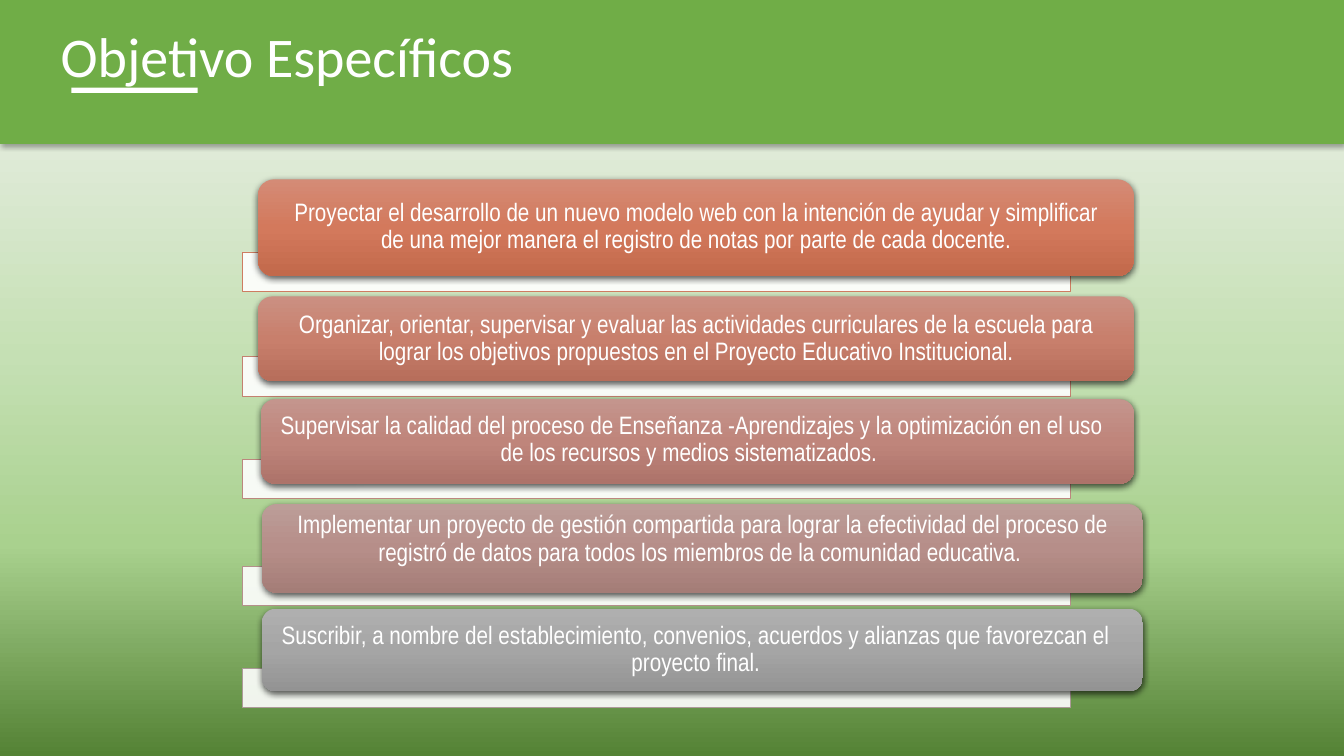
from lxml.etree import SubElement as Sub
from pptx import Presentation
from pptx.dml.color import RGBColor
from pptx.enum.shapes import MSO_SHAPE as Kind
from pptx.enum.text import MSO_ANCHOR as Anchor, PP_ALIGN as Align
from pptx.oxml.ns import qn
from pptx.util import Cm, Pt

WIDE, HIGH = 33.87, 19.05
WHITE = "FFFFFF"

# pill box, text shift (x, y), bar top, bar line, gradient, wording
GOALS = [
    ((6.5, 4.52, 22.07, 2.44), (0.08, -0.02), 6.35, "CE7C61",
     ("D48B76", "D3795C", "C2694B"),
     "Proyectar el desarrollo de un nuevo modelo web con la intención de ayudar y "
     "simplificar de una mejor manera el registro de notas por parte de cada docente."),
    ((6.5, 7.47, 22.07, 2.13), (0.08, 0), 8.99, "C48170",
     ("CB9082", "C87F6C", "B76E5B"),
     "Organizar, orientar, supervisar y evaluar las actividades curriculares de la "
     "escuela para lograr los objetivos propuestos en el Proyecto Educativo Institucional."),
    ((6.58, 10.06, 22, 2.13), (-0.08, -0.05), 11.58, "BC877E",
     ("C4958D", "BF857B", "AD736A"),
     "Supervisar la calidad del proceso de Enseñanza -Aprendizajes y la optimización "
     "en el uso de los recursos y medios sistematizados. "),
    ((6.6, 12.7, 22.2, 2.24), (0.08, -0.23), 14.27, "B4908B",
     ("BC9D98", "B68E89", "A47D77"),
     "Implementar un proyecto de gestión compartida para lograr la efectividad del "
     "proceso de registró de datos para todos los miembros de la comunidad educativa. "),
    ((6.6, 15.34, 22.2, 2.08), (-0.1, 0), 16.84, "AC9A99",
     ("AFAFAF", "A5A5A5", "939393"),
     "Suscribir, a nombre del establecimiento, convenios, acuerdos y alianzas que "
     "favorezcan el proyecto final."),
]


def color(code):
    return RGBColor.from_string(code)


def blend(fill, host, stops):
    """Fill with a top-down gradient of (percent, colour) stops."""
    fill.gradient()
    fill.gradient_angle = 270
    marks = next(host.iter(qn("a:gsLst")))
    for old in list(marks):
        marks.remove(old)
    for pos, code in stops:
        mark = Sub(marks, qn("a:gs"), pos=str(pos * 1000))
        Sub(mark, qn("a:srgbClr"), val=code)


def fade(clr, pct):
    Sub(clr, qn("a:alpha"), val=str(pct * 1000))


def shade(shape, alpha, blur, dist):
    """Cast a black shadow downwards."""
    effects = shape._element.spPr.find(qn("a:effectLst"))
    outer = Sub(effects, qn("a:outerShdw"), blurRad=str(Pt(blur)),
                dist=str(Pt(dist)), dir="5400000", algn="ctr", rotWithShape="0")
    fade(Sub(outer, qn("a:srgbClr"), val="000000"), alpha)


def block(slide, box, fill=None, line=None, kind=Kind.RECTANGLE):
    shape = slide.shapes.add_shape(kind, *map(Cm, box))
    shape.shadow.inherit = False
    if fill:
        shape.fill.solid()
        shape.fill.fore_color.rgb = color(fill)
    if line:
        shape.line.color.rgb = color(line)
        shape.line.width = Pt(0.5)
    else:
        shape.line.fill.background()
    return shape


def write(slide, box, text, size, font, align=Align.LEFT, anchor=Anchor.TOP,
          side=0, gap=1.0):
    frame = slide.shapes.add_textbox(*map(Cm, box)).text_frame
    frame.word_wrap = True
    frame.vertical_anchor = anchor
    frame.margin_left = frame.margin_right = Cm(side)
    frame.margin_top = frame.margin_bottom = 0
    para = frame.paragraphs[0]
    para.alignment = align
    para.line_spacing = gap
    run = para.add_run()
    run.text = text
    run.font.size = Pt(size)
    run.font.name = font
    run.font.color.rgb = color(WHITE)


def header(slide, box, title):
    x, y, w, h = box
    shade(block(slide, box, "70AD47"), 32, 3.5, 2.2)
    block(slide, (x + 1.8, y + 2.21, 3.18, 0.13), WHITE)
    write(slide, (x + 1.53, y + 0.55, 23.24, 1.75), title, 40, "Calibri")


def goal(slide, box, shift, top, edge, tones, text):
    """Place a white bar with a shaded pill and its wording over it."""
    x, y, w, h = box
    bar = block(slide, (6.12, top, 20.85, 0.99), WHITE, edge)
    fade(next(bar._element.spPr.iter(qn("a:srgbClr"))), 90)
    pill = block(slide, box, kind=Kind.ROUNDED_RECTANGLE)
    blend(pill.fill, pill._element.spPr, zip((0, 50, 100), tones))
    shade(pill, 63, 4.5, 1.5)
    dx, dy = shift
    write(slide, (x + dx, y + dy, w - 0.13, h), text, 18, "Arial Narrow",
          Align.CENTER, Anchor.MIDDLE, side=0.56, gap=0.9)


def main():
    deck = Presentation()
    deck.slide_width, deck.slide_height = Cm(WIDE), Cm(HIGH)
    slide = deck.slides.add_slide(deck.slide_layouts[6])
    blend(slide.background.fill, slide._element,
          [(0, "F2F2F2"), (47, "C5E0B4"), (72, "A9D18E"), (100, "548235")])
    header(slide, (0, 0, WIDE, 3.63), "Objetivo Específicos")
    for row in GOALS:
        goal(slide, *row)
    deck.save("out.pptx")


if __name__ == "__main__":
    main()
